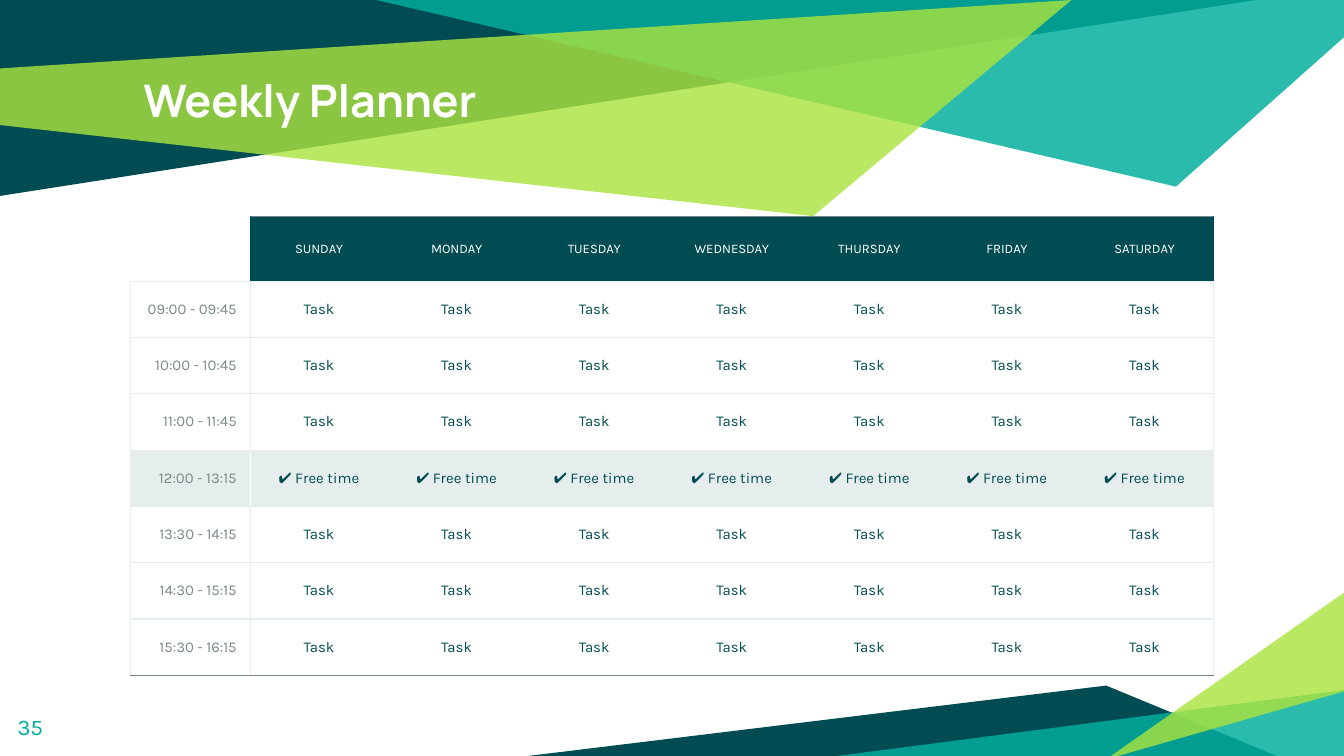
from lxml.etree import SubElement
from pptx import Presentation
from pptx.dml.color import RGBColor
from pptx.enum.text import MSO_ANCHOR, PP_ALIGN
from pptx.oxml.ns import qn
from pptx.util import Pt

DARK = RGBColor(0x00, 0x4C, 0x52)
TEAL = RGBColor(0x00, 0xAE, 0x9D)
LIME = RGBColor(0xAB, 0xE3, 0x3F)
GRAY = RGBColor(0x78, 0x87, 0x88)
PALE = RGBColor(0xE6, 0xEE, 0xED)
WHITE = RGBColor(0xFF, 0xFF, 0xFF)

DAYS = ["SUNDAY", "MONDAY", "TUESDAY", "WEDNESDAY", "THURSDAY", "FRIDAY", "SATURDAY"]
HOURS = ["09:00 - 09:45", "10:00 - 10:45", "11:00 - 11:45", "12:00 - 13:15",
         "13:30 - 14:15", "14:30 - 15:15", "15:30 - 16:15"]
BREAK_ROW = 4


def format_text(tf, text, size, font, color, bold=False, align=PP_ALIGN.LEFT):
    tf.text = text
    p = tf.paragraphs[0]
    p.alignment = align
    f = p.runs[0].font
    f.size, f.name, f.bold = Pt(size), font, bold
    f.color.rgb = color


def add_text(s, box, text, size, font, color, bold=False, anchor=MSO_ANCHOR.TOP):
    tf = s.shapes.add_textbox(*map(Pt, box)).text_frame
    tf.word_wrap = True
    tf.vertical_anchor = anchor
    tf.margin_left = tf.margin_right = tf.margin_top = tf.margin_bottom = Pt(7.2)
    format_text(tf, text, size, font, color, bold)


def add_facet(s, left, top, points, color, opacity=100):
    corners = [(Pt(left + x), Pt(top + y)) for x, y in points]
    builder = s.shapes.build_freeform(*corners[0])
    builder.add_line_segments(corners[1:], close=True)
    sp = builder.convert_to_shape()
    sp.shadow.inherit = False
    sp.line.fill.background()
    sp.fill.solid()
    sp.fill.fore_color.rgb = color
    if opacity < 100:
        clr = sp.fill._xPr.find(qn("a:solidFill"))[0]
        SubElement(clr, qn("a:alpha")).set("val", str(opacity * 1000))


def add_top_facets(s, left, top):
    add_facet(s, left, top, [(0, 0), (0, 105), (673, 0)], DARK)
    add_facet(s, left, top, [(201.6, 0), (630, 100), (720, 20), (720, 0)], TEAL, 83)
    add_facet(s, left, top, [(-0.5, 36.7), (0, 67), (435.6, 115.8), (574, 0)], LIME, 81)


def add_corner_facets(s, left, top):
    add_facet(s, left, top, [(0, 88.2), (401, 88.2), (309.6, 50.5)], DARK)
    add_facet(s, left, top, [(438.4, 52.7), (438.4, 90), (152, 90)], TEAL, 83)
    add_facet(s, left, top, [(438, 53.3), (438, 0), (309.6, 90)], LIME, 81)


def set_borders(cell, **colors):
    tcPr = cell._tc.get_or_add_tcPr()
    for side in "LRTB":
        ln = SubElement(tcPr, qn("a:ln" + side), w=str(Pt(0.75)))
        color = colors.get(side)
        if color is None:
            SubElement(ln, qn("a:noFill"))
        else:
            fill = SubElement(ln, qn("a:solidFill"))
            SubElement(fill, qn("a:srgbClr")).set("val", str(color))


def style_cell(cell, text, size, color, fill, align=PP_ALIGN.CENTER):
    cell.vertical_anchor = MSO_ANCHOR.MIDDLE
    cell.margin_left = cell.margin_right = cell.margin_top = cell.margin_bottom = Pt(7.2)
    format_text(cell.text_frame, text, size, "Karla", color, align=align)
    if fill is None:
        cell.fill.background()
    else:
        cell.fill.solid()
        cell.fill.fore_color.rgb = fill


def add_planner(s, left, top, width, height, hour_width=64.3, head_height=34.8):
    rows, cols = len(HOURS) + 1, len(DAYS) + 1
    table = s.shapes.add_table(rows, cols, *map(Pt, (left, top, width, height))).table
    table.first_row = table.horz_banding = False
    for i, col in enumerate(table.columns):
        col.width = Pt((width - hour_width) / len(DAYS) if i else hour_width)
    for i, row in enumerate(table.rows):
        row.height = Pt((height - head_height) / len(HOURS) if i else head_height)

    corner = table.cell(0, 0)
    corner.margin_top = corner.margin_bottom = Pt(0)
    set_borders(corner, R=DARK, B=PALE)
    corner.fill.background()

    for c, day in enumerate(DAYS, 1):
        cell = table.cell(0, c)
        set_borders(cell, L=DARK if c == 1 else None,
                    R=DARK if c == cols - 1 else None, T=GRAY, B=PALE)
        style_cell(cell, day, 7, WHITE, DARK)

    for r, hour in enumerate(HOURS, 1):
        is_break = r == BREAK_ROW
        fill = PALE if is_break else None
        divider = WHITE if is_break else PALE
        bottom = GRAY if r == rows - 1 else PALE
        cell = table.cell(r, 0)
        set_borders(cell, L=PALE, R=divider, T=PALE, B=bottom)
        style_cell(cell, hour, 8, GRAY, fill, PP_ALIGN.RIGHT)
        for c in range(1, cols):
            cell = table.cell(r, c)
            set_borders(cell, L=divider if c == 1 else None,
                        R=PALE if c == cols - 1 else None, T=PALE, B=bottom)
            style_cell(cell, "✔ Free time" if is_break else "Task", 8, DARK, fill)


def main():
    prs = Presentation()
    prs.slide_width, prs.slide_height = Pt(720), Pt(405)
    s = prs.slides.add_slide(prs.slide_layouts[6])
    add_top_facets(s, 0, 0)
    add_corner_facets(s, 283, 316.8)
    add_text(s, (69.8, 31.7, 580.3, 67.7), "Weekly Planner", 24, "Manrope", WHITE, bold=True)
    add_text(s, (2.2, 373.7, 43.2, 31), "35", 12, "Karla", TEAL, anchor=MSO_ANCHOR.MIDDLE)
    add_planner(s, 69.8, 115.9, 580.3, 246)
    prs.save("out.pptx")


if __name__ == "__main__":
    main()
